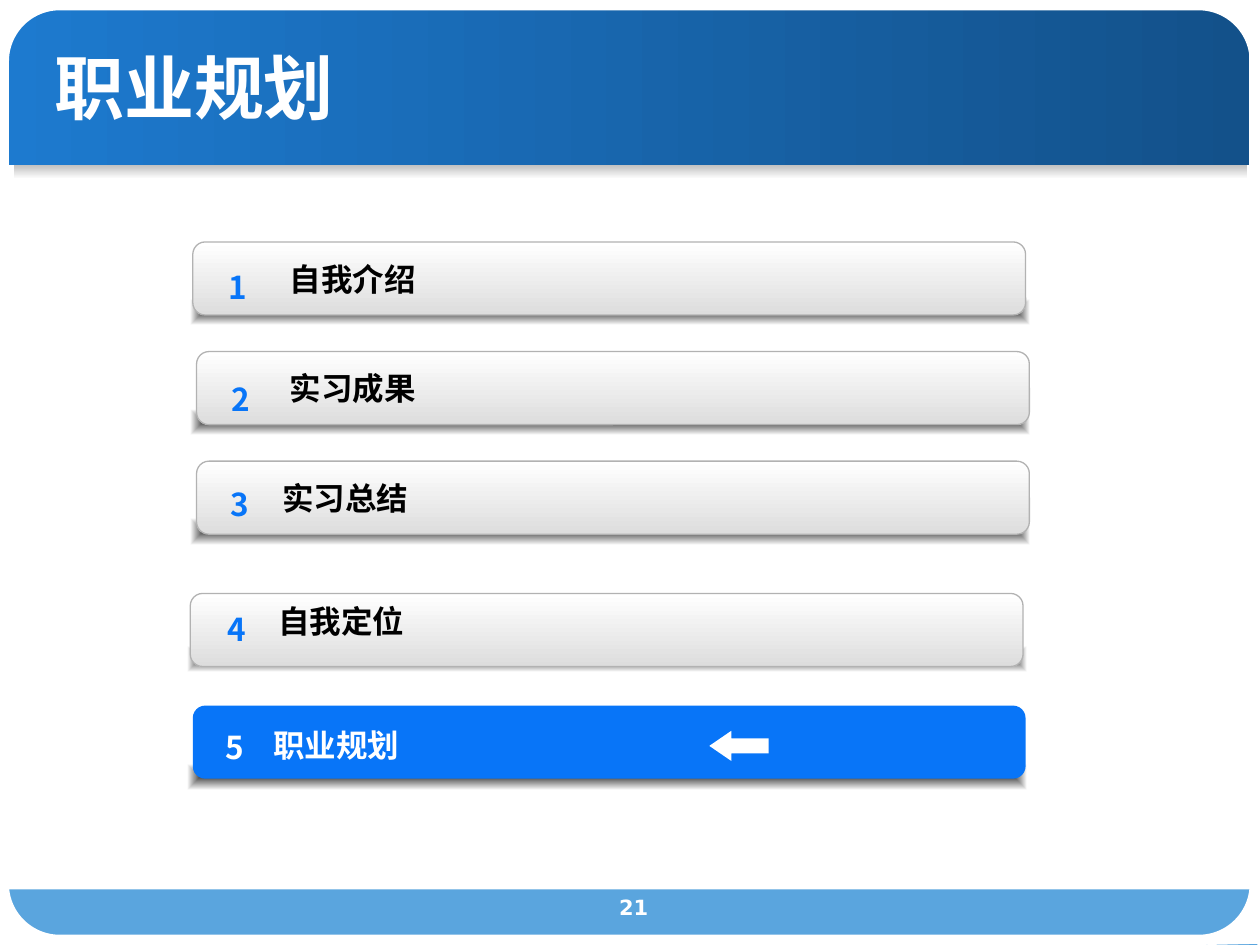
from dataclasses import dataclass

import lxml.etree
import pptx
import pptx.dml.color
import pptx.enum.shapes
import pptx.enum.text
import pptx.oxml.ns
import pptx.util

RGBColor = pptx.dml.color.RGBColor
ShapeType = pptx.enum.shapes.MSO_SHAPE
Align = pptx.enum.text.PP_ALIGN
Anchor = pptx.enum.text.MSO_ANCHOR
qn = pptx.oxml.ns.qn

WHITE = RGBColor(0xFF, 0xFF, 0xFF)
BLACK = RGBColor(0x00, 0x00, 0x00)
HEADER_LEFT = RGBColor(0x1D, 0x7A, 0xCF)
HEADER_RIGHT = RGBColor(0x13, 0x51, 0x8A)
FOOTER_BLUE = RGBColor(0x5A, 0xA5, 0xDE)
SILVER = RGBColor(0xC0, 0xC0, 0xC0)
BAR_GRAY = RGBColor(0xDD, 0xDD, 0xDD)
BAR_BORDER = RGBColor(0xB2, 0xB2, 0xB2)
ACCENT = RGBColor(0x08, 0x75, 0xF8)

CJK_FONT = "Noto Sans CJK SC"
WIDTH, HEIGHT = pptx.util.Inches(10), pptx.util.Inches(7.5)
COLUMNS, ROWS = 100, 75

CORNERS = [
    [(-0.1, 4.9), (1.3, 2.5), (2.7, 0.6), (4.8, 0), (-0.2, 0)],
    [(4.2, 75), (2, 73.3), (0.4, 71.7), (-0.1, 69.2), (-0.1, 75)],
    [(100, 69.9), (98.8, 72.4), (97.5, 74.3), (95.7, 75), (100.1, 74.9)],
    [(95, 0), (97.5, 1.4), (99.4, 2.9), (100, 5), (100, 0)],
]


@dataclass
class Box:
    left: float
    top: float
    width: float
    height: float

    def emu(self) -> tuple:
        return (across(self.left), down(self.top), across(self.width), down(self.height))


@dataclass
class AgendaItem:
    number: str
    label: str
    bar_left: float
    bar_top: float
    shadow_left: float
    shadow_top: float
    label_left: float
    label_top: float
    number_center: float
    number_top: float
    current: bool = False


AGENDA = [
    AgendaItem("1", "自我介绍", 15.3, 19.2, 15.1, 23.8, 23, 19.2, 18.9, 20.8),
    AgendaItem("2", "实习成果", 15.6, 27.9, 15.1, 32.5, 23, 27.9, 19.1, 29.7),
    AgendaItem("3", "实习总结", 15.6, 36.6, 15.1, 41.2, 22.4, 36.6, 19, 38),
    AgendaItem("4", "自我定位", 15.1, 47.1, 14.9, 51.3, 22.1, 46.4, 18.8, 47.9),
    AgendaItem("5", "职业规划", 15.3, 56, 14.9, 60.7, 21.7, 56.2, 18.6, 57.3, True),
]


def across(columns: float) -> int:
    return round(columns * WIDTH / COLUMNS)


def down(rows: float) -> int:
    return round(rows * HEIGHT / ROWS)


def add_shape(slide, kind, box: Box, fill=None, line=None, line_width=0.75):
    shape = slide.shapes.add_shape(kind, *box.emu())
    shape.shadow.inherit = False
    paint(shape, fill, line, line_width)
    return shape


def paint(shape, fill=None, line=None, line_width=0.75) -> None:
    if fill is None:
        shape.fill.background()
    else:
        shape.fill.solid()
        shape.fill.fore_color.rgb = fill
    if line is None:
        shape.line.fill.background()
    else:
        shape.line.color.rgb = line
        shape.line.width = pptx.util.Pt(line_width)


def set_gradient(shape, start: RGBColor, end: RGBColor, angle: int) -> None:
    shape.fill.gradient()
    shape.fill.gradient_angle = angle
    for stop, color in zip(shape.fill.gradient_stops, (start, end)):
        stop.color.rgb = color


def set_glow_gradient(shape) -> None:
    set_gradient(shape, BLACK, BLACK, 0)
    gradient = shape._element.spPr.find(qn("a:gradFill"))
    for color, alpha in zip(gradient.iter(qn("a:srgbClr")), ("70000", "0")):
        lxml.etree.SubElement(color, qn("a:alpha"), val=alpha)
    linear = gradient.find(qn("a:lin"))
    rectangle = lxml.etree.Element(qn("a:path"), {"path": "rect"})
    lxml.etree.SubElement(rectangle, qn("a:fillToRect"), l="50000", t="50000", r="50000", b="50000")
    gradient.replace(linear, rectangle)


def write_text(shape, text: str, size: float, color: RGBColor, font=CJK_FONT,
               align=Align.LEFT, anchor=Anchor.TOP, margin=0.1) -> None:
    frame = shape.text_frame
    frame.word_wrap = True
    frame.auto_size = pptx.enum.text.MSO_AUTO_SIZE.NONE
    frame.vertical_anchor = anchor
    frame.margin_left = frame.margin_right = pptx.util.Inches(margin)
    frame.margin_top = frame.margin_bottom = pptx.util.Inches(0.05)
    paragraph = frame.paragraphs[0]
    paragraph.alignment = align
    run = paragraph.add_run()
    run.text = text
    run.font.name = font
    run.font.size = pptx.util.Pt(size)
    run.font.bold = True
    run.font.color.rgb = color
    run.font._element.find(qn("a:latin")).addnext(
        lxml.etree.Element(qn("a:ea"), typeface=CJK_FONT))


def add_frame(slide) -> None:
    header = add_shape(slide, ShapeType.RECTANGLE, Box(0, 0.1, 99.1, 13))
    set_gradient(header, HEADER_LEFT, HEADER_RIGHT, 0)
    add_shape(slide, ShapeType.RECTANGLE, Box(0, 70.6, 99.8, 4.4), FOOTER_BLUE)
    header_shadow = add_shape(slide, ShapeType.RECTANGLE, Box(1.1, 13.1, 97.9, 1.1))
    set_gradient(header_shadow, SILVER, WHITE, 270)
    border = add_shape(slide, ShapeType.ROUNDED_RECTANGLE, Box(0.3, 0.4, 99.3, 74.2),
                       line=WHITE, line_width=6)
    border.adjustments[0] = 0.06
    for corner in CORNERS:
        points = [(across(x), down(y)) for x, y in corner]
        builder = slide.shapes.build_freeform(*points[0], scale=1.0)
        builder.add_line_segments(points[1:], close=True)
        shape = builder.convert_to_shape()
        shape.shadow.inherit = False
        paint(shape, WHITE)


def add_title(slide, text: str) -> None:
    title = slide.shapes.title
    slide.shapes._spTree.append(title._element)
    title.left, title.top, title.width, title.height = Box(3.3, 3.8, 90.8, 6.2).emu()
    write_text(title, text, 40, WHITE, font="Arial", anchor=Anchor.MIDDLE)


def add_agenda_item(slide, item: AgendaItem) -> None:
    shadow = add_shape(slide, ShapeType.RECTANGLE,
                       Box(item.shadow_left, item.shadow_top, 66.6, 2))
    set_glow_gradient(shadow)
    bar = add_shape(slide, ShapeType.ROUNDED_RECTANGLE,
                    Box(item.bar_left, item.bar_top, 66.1, 5.8), ACCENT,
                    None if item.current else BAR_BORDER)
    bar.adjustments[0] = 0.17
    if not item.current:
        set_gradient(bar, WHITE, BAR_GRAY, 270)
    label = slide.shapes.add_textbox(*Box(item.label_left, item.label_top, 50, 5.8).emu())
    write_text(label, item.label, 18, WHITE if item.current else BLACK,
               anchor=Anchor.MIDDLE, margin=0)
    number = slide.shapes.add_textbox(*Box(item.number_center - 2, item.number_top, 4, 3.1).emu())
    write_text(number, item.number, 18, WHITE if item.current else ACCENT,
               align=Align.CENTER, margin=0)


def main() -> None:
    presentation = pptx.Presentation()
    presentation.slide_width, presentation.slide_height = WIDTH, HEIGHT
    slide = presentation.slides.add_slide(presentation.slide_layouts.get_by_name("Title Only"))
    add_frame(slide)
    add_title(slide, "职业规划")
    for item in AGENDA:
        add_agenda_item(slide, item)
    arrow = add_shape(slide, ShapeType.LEFT_ARROW, Box(56.3, 58, 4.7, 2.4), WHITE)
    arrow.adjustments[0], arrow.adjustments[1] = 0.5, 0.73
    page_number = slide.shapes.add_textbox(*Box(45.3, 70.5, 10, 3.5).emu())
    write_text(page_number, "21", 12, WHITE, font="DejaVu Sans", align=Align.CENTER)
    presentation.save("out.pptx")


if __name__ == "__main__":
    main()
